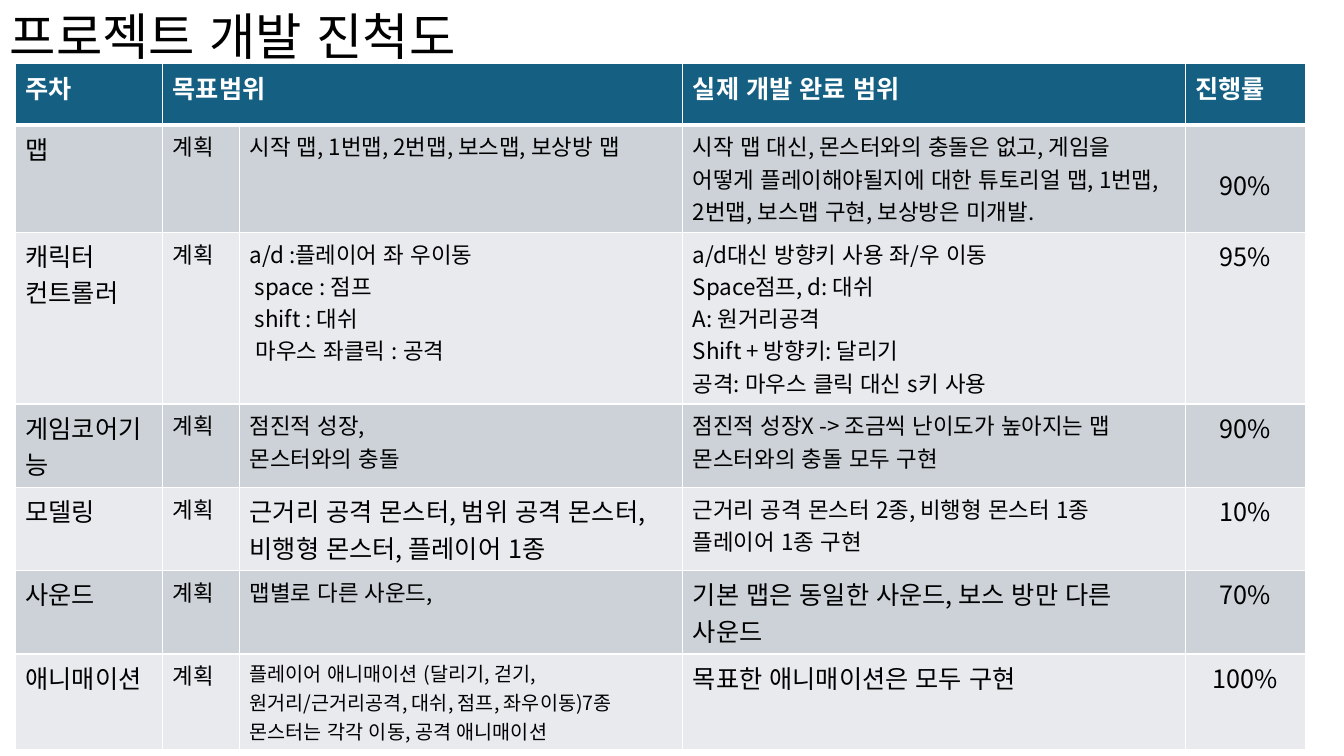
from lxml.etree import SubElement
from pptx import Presentation
from pptx.dml.color import RGBColor
from pptx.enum.lang import MSO_LANGUAGE_ID as LANG
from pptx.enum.text import MSO_ANCHOR as ANCHOR, PP_ALIGN as ALIGN
from pptx.oxml.ns import qn
from pptx.util import Cm, Pt

FONT = "Noto Sans CJK KR"
BLACK, WHITE, NAVY = "000000", "FFFFFF", "156082"
BANDS = ["CCD2D8", "E8EAED"]
COLS = [3.71, 1.94, 11.17, 12.67, 3.02]
HEIGHTS = [1.54, 2.7, 4.33, 2.1, 2.1, 2.1, 2.4]
HEADERS = {0: "주차", 1: "목표범위", 3: "실제 개발 완료 범위", 4: "진행률"}
PROGRESS = [
    ("맵",
     ["시작 맵, 1번맵, 2번맵, 보스맵, 보상방 맵"], 16,
     ["시작 맵 대신, 몬스터와의 충돌은 없고, 게임을 어떻게 플레이해야될지에 대한 "
      "튜토리얼 맵, 1번맵, 2번맵, 보스맵 구현, 보상방은 미개발."], 16, "90%"),
    ("캐릭터 컨트롤러",
     ["a/d :플레이어 좌 우이동", " space : 점프", " shift : 대쉬", " 마우스 좌클릭 : 공격"], 16,
     ["a/d대신 방향키 사용 좌/우 이동", "Space점프, d: 대쉬", "A: 원거리공격",
      "Shift + 방향키: 달리기", "공격: 마우스 클릭 대신 s키 사용"], 16, "95%"),
    ("게임코어기능",
     ["점진적 성장,", "몬스터와의 충돌"], 16,
     ["점진적 성장X -> 조금씩 난이도가 높아지는 맵", "몬스터와의 충돌 모두 구현"], 16, "90%"),
    ("모델링",
     ["근거리 공격 몬스터, 범위 공격 몬스터, 비행형 몬스터, 플레이어 1종"], 18,
     ["근거리 공격 몬스터 2종, 비행형 몬스터 1종", "플레이어 1종 구현"], 16, "10%"),
    ("사운드",
     ["맵별로 다른 사운드,"], 16,
     ["기본 맵은 동일한 사운드, 보스 방만 다른 사운드"], 18, "70%"),
    ("애니매이션",
     ["플레이어 애니매이션 (달리기, 걷기, 원거리/근거리공격, 대쉬, 점프, 좌우이동)7종",
      "몬스터는 각각 이동, 공격 애니매이션"], 14,
     ["목표한 애니매이션은 모두 구현"], 18, "100%"),
]


def rgb(value):
    """Turn a hex string into a colour."""
    return RGBColor.from_string(value)


def write(tf, lines, size, color=BLACK, bold=False, **fmt):
    """Fill a text frame with one paragraph per line."""
    font = {"name": FONT, "size": Pt(size), "bold": bold, "language_id": LANG.KOREAN}
    for i, line in enumerate(lines):
        p = tf.add_paragraph() if i else tf.paragraphs[0]
        for key, value in fmt.items():
            setattr(p, key, value)
        r = p.add_run()
        r.text = line
        for key, value in font.items():
            setattr(r.font, key, value)
        r.font.color.rgb = rgb(color)
        SubElement(r.font._element, qn("a:ea"), typeface=FONT)


def style_cell(cell, fill, bottom=1):
    """Give a cell white borders and a solid fill."""
    tcPr = cell._tc.get_or_add_tcPr()
    for side, width in {"L": 1, "R": 1, "T": 1, "B": bottom}.items():
        ln = SubElement(tcPr, qn(f"a:ln{side}"), w=str(Pt(width)))
        SubElement(SubElement(ln, qn("a:solidFill")), qn("a:srgbClr"), val=WHITE)
    cell.fill.solid()
    cell.fill.fore_color.rgb = rgb(fill)


def add_title(s, x, y, w, h):
    """Place the slide title in the given box."""
    tf = s.shapes.add_textbox(x, y, w, h).text_frame
    tf.word_wrap = True
    tf.vertical_anchor = ANCHOR.MIDDLE
    write(tf, ["프로젝트 개발 진척도"], 36, line_spacing=0.9)


def add_progress_table(s, x, y, w, h):
    """Place the plan and progress table in the given box."""
    table = s.shapes.add_table(len(HEIGHTS), len(COLS), x, y, w, h).table
    for col, width in zip(table.columns, COLS):
        col.width = int(w * width / sum(COLS))
    for row, height in zip(table.rows, HEIGHTS):
        row.height = int(h * height / sum(HEIGHTS))

    table.cell(0, 1).merge(table.cell(0, 2))
    for c, text in HEADERS.items():
        cell = table.cell(0, c)
        style_cell(cell, NAVY, 3)
        write(cell.text_frame, [text], 18, WHITE, True)

    for i, (name, plan, plan_size, done, done_size, rate) in enumerate(PROGRESS):
        cells = [([name], 18), (["계획"], 16), (plan, plan_size), (done, done_size), ([rate], 18)]
        for c, (lines, size) in enumerate(cells):
            cell = table.cell(i + 1, c)
            style_cell(cell, BANDS[i % 2])
            align = ALIGN.CENTER if c == 4 else ALIGN.LEFT
            write(cell.text_frame, lines, size, alignment=align)
    table.cell(1, 4).margin_top = Cm(1.04)


def main():
    """Build the slide and save it."""
    prs = Presentation()
    prs.slide_width, prs.slide_height = Cm(33.87), Cm(19.05)
    s = prs.slides.add_slide(prs.slide_layouts[6])
    add_title(s, Cm(0), Cm(-0.84), Cm(29.21), Cm(3.68))
    add_progress_table(s, Cm(0.39), Cm(1.61), Cm(sum(COLS)), Cm(sum(HEIGHTS)))
    prs.save("out.pptx")


if __name__ == "__main__":
    main()
